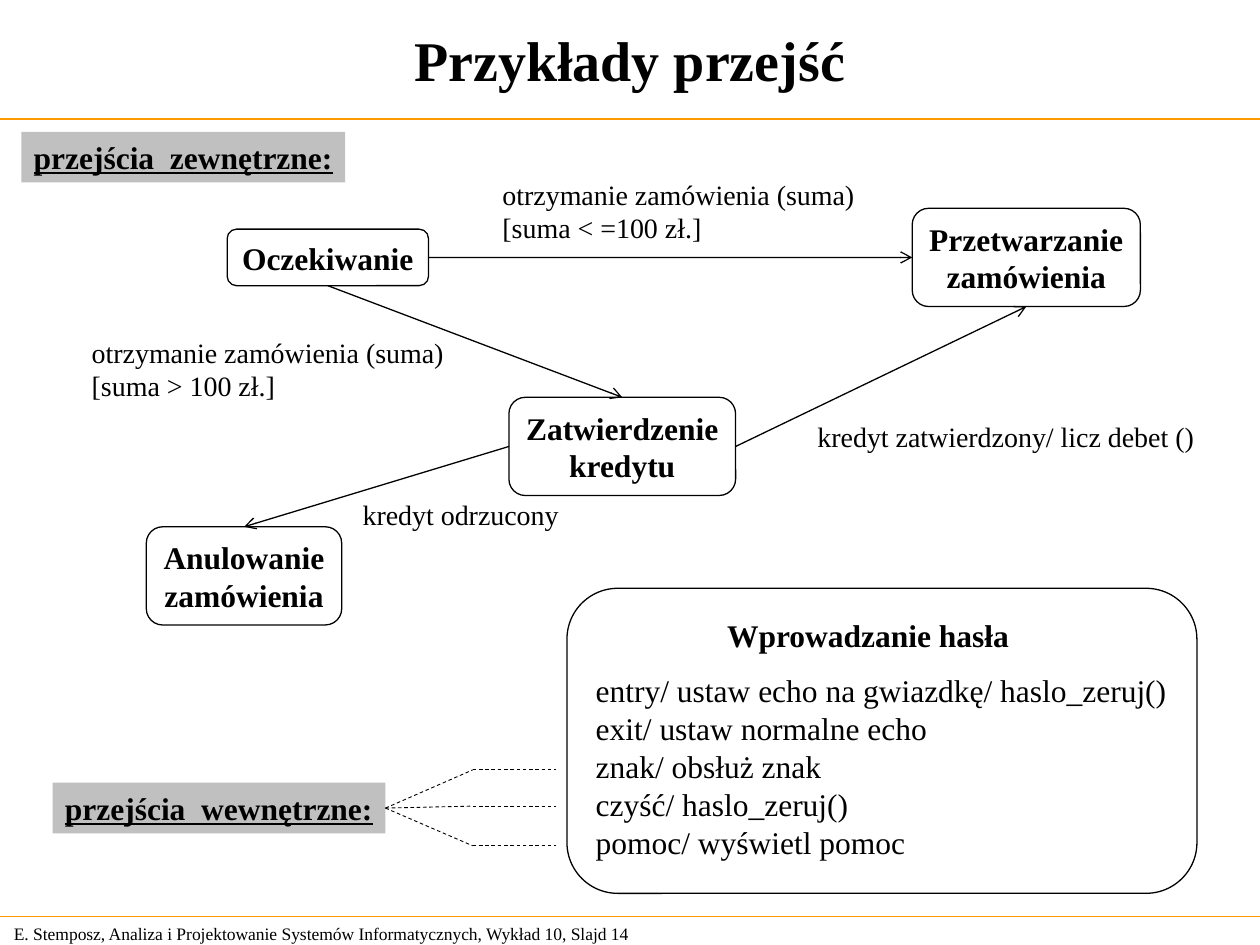
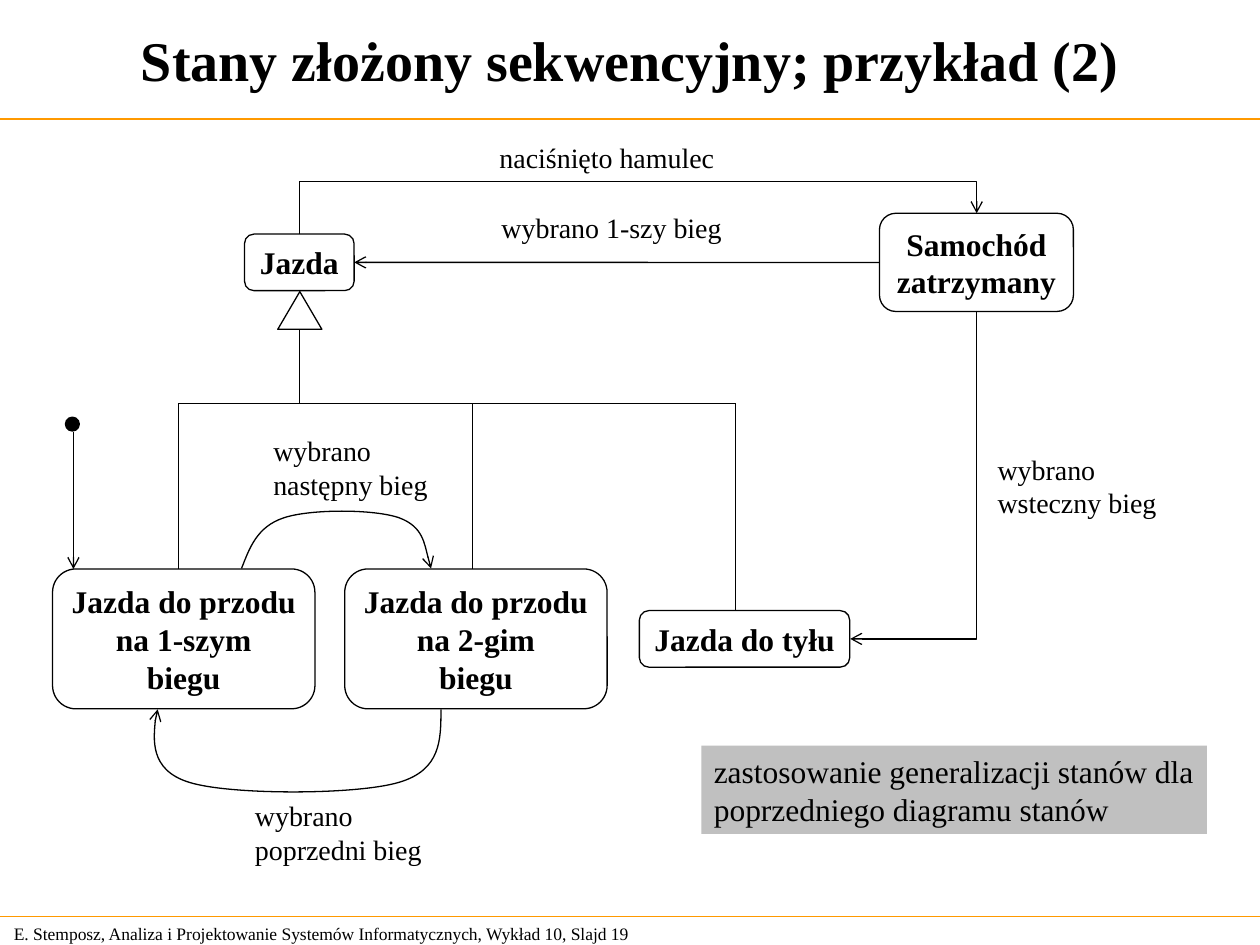
from dataclasses import dataclass

from lxml import etree
from pptx import Presentation
from pptx.dml.color import RGBColor
from pptx.enum.dml import MSO_LINE
from pptx.enum.shapes import MSO_CONNECTOR, MSO_SHAPE
from pptx.enum.text import MSO_ANCHOR, MSO_AUTO_SIZE, PP_ALIGN
from pptx.oxml.ns import qn
from pptx.util import Cm, Pt


@dataclass(frozen=True)
class Theme:
    font: str = "Times New Roman"
    ink: RGBColor = RGBColor(0x00, 0x00, 0x00)
    paper: RGBColor = RGBColor(0xFF, 0xFF, 0xFF)
    rule: RGBColor = RGBColor(0xFF, 0x99, 0x00)
    band: RGBColor = RGBColor(0xC0, 0xC0, 0xC0)
    title: Pt = Pt(32)
    body: Pt = Pt(18)
    label: Pt = Pt(16)
    footer: Pt = Pt(10)
    stroke: Pt = Pt(0.75)
    thin: Pt = Pt(0.5)


theme = Theme()
TOP, LEFT, BOTTOM, RIGHT = range(4)


def write(shape, text, size, bold=False, underline=False, align=PP_ALIGN.LEFT,
          anchor=MSO_ANCHOR.TOP):
    """Fill a shape with text that keeps its own line breaks."""
    frame = shape.text_frame
    frame.text = text
    frame.word_wrap = False
    frame.auto_size = MSO_AUTO_SIZE.NONE
    frame.vertical_anchor = anchor
    frame.margin_right = 0
    if align == PP_ALIGN.CENTER:
        frame.margin_left = 0
    for paragraph in frame.paragraphs:
        paragraph.alignment = align
        for run in paragraph.runs:
            run.font.name, run.font.size = theme.font, size
            run.font.bold, run.font.underline = bold, underline
            run.font.color.rgb = theme.ink
    return shape


def outline(shape, color=theme.ink, width=theme.stroke, arrow=False, dash=False):
    """Draw the line of a shape or connector, without a shadow."""
    shape.line.color.rgb = color
    shape.line.width = width
    if dash:
        shape.line.dash_style = MSO_LINE.DASH
    properties = shape._element.spPr
    if arrow:
        etree.SubElement(properties.find(qn("a:ln")), qn("a:tailEnd"), type="arrow")
    if properties.find(qn("a:effectLst")) is None:
        etree.SubElement(properties, qn("a:effectLst"))
    return shape


presentation = Presentation()
presentation.slide_width, presentation.slide_height = Cm(25.4), Cm(19.05)

# Content of both slides; boxes are left, top, width, height in cm
lectures = [
    {
        "title": "Przykłady przejść",
        "number": 14,
        "states": {
            "Oczekiwanie": (4.58, 4.62, 4.06, 1.14),
            "Przetwarzanie\nzamówienia": (18.39, 4.2, 4.6, 1.98),
            "Zatwierdzenie\nkredytu": (10.26, 8.01, 4.57, 1.98),
            "Anulowanie\nzamówienia": (2.95, 10.62, 3.94, 1.98),
        },
        "transitions": [
            ("Oczekiwanie", RIGHT, "Przetwarzanie\nzamówienia", LEFT),
            ("Oczekiwanie", BOTTOM, "Zatwierdzenie\nkredytu", TOP),
            ("Zatwierdzenie\nkredytu", RIGHT, "Przetwarzanie\nzamówienia", BOTTOM),
            ("Zatwierdzenie\nkredytu", LEFT, "Anulowanie\nzamówienia", TOP),
        ],
        "labels": [
            ("otrzymanie zamówienia (suma)\n[suma > 100 zł.]", (1.6, 6.63, 7.59, 1.63)),
            ("otrzymanie zamówienia (suma)\n[suma < =100 zł.]", (9.88, 3.45, 7.59, 1.63)),
            ("kredyt zatwierdzony/ licz debet ()", (16.23, 8.33, 8.1, 0.94)),
            ("kredyt odrzucony", (7.06, 9.91, 4.47, 0.94)),
        ],
        "bands": [
            ("przejścia  zewnętrzne:", (0.43, 2.66, 6.53, 1.02), True),
            ("przejścia  wewnętrzne:", (1.06, 15.78, 6.71, 1.02), True),
        ],
    },
    {
        "title": "Stany złożony sekwencyjny; przykład (2)",
        "number": 19,
        "states": {
            "Jazda do przodu\nna 1-szym\nbiegu": (1.06, 11.47, 5.29, 2.82),
            "Jazda do przodu\nna 2-gim\nbiegu": (6.95, 11.47, 5.29, 2.82),
            "Jazda do tyłu": (12.89, 12.31, 4.24, 1.14),
            "Jazda": (4.93, 4.72, 2.21, 1.14),
            "Samochód\nzatrzymany": (17.73, 4.3, 3.91, 1.98),
        },
        "transitions": [("Samochód\nzatrzymany", LEFT, "Jazda", RIGHT)],
        "labels": [
            ("wybrano\nnastępny bieg", (5.26, 8.62, 3.61, 1.63)),
            ("wybrano\npoprzedni bieg", (4.89, 15.98, 3.86, 1.63)),
            ("wybrano\nwsteczny bieg", (19.86, 8.99, 3.71, 1.63)),
            ("wybrano 1-szy bieg", (9.86, 4.11, 4.95, 0.94)),
            ("naciśnięto hamulec", (9.82, 2.71, 4.83, 0.94)),
        ],
        "bands": [
            ("zastosowanie generalizacji stanów dla\npoprzedniego diagramu stanów",
             (14.14, 15.03, 10.19, 1.78), False),
        ],
    },
]

slides = []
bands = {}
for lecture in lectures:
    slide = presentation.slides.add_slide(presentation.slide_layouts[6])
    slides.append(slide)
    shapes = slide.shapes

    # Footer, rules and title
    footer = shapes.add_textbox(Cm(0.03), Cm(18.47), Cm(13.31), Cm(0.69))
    write(footer, "E. Stemposz, Analiza i Projektowanie Systemów Informatycznych, "
          f"Wykład 10, Slajd {lecture['number']}", theme.footer, anchor=MSO_ANCHOR.MIDDLE)
    for y in (2.4, 18.48):
        outline(shapes.add_connector(MSO_CONNECTOR.STRAIGHT, 0, Cm(y), Cm(25.4), Cm(y)),
                theme.rule)
    title = shapes.add_textbox(Cm(0.1), Cm(0.12), Cm(25.2), Cm(2.16))
    write(title, lecture["title"], theme.title, bold=True, align=PP_ALIGN.CENTER,
          anchor=MSO_ANCHOR.MIDDLE)

    # States
    states = {}
    for name, box in lecture["states"].items():
        state = shapes.add_shape(MSO_SHAPE.ROUNDED_RECTANGLE, *map(Cm, box))
        state.fill.solid()
        state.fill.fore_color.rgb = theme.paper
        states[name] = write(outline(state), name, theme.body, bold=True,
                             align=PP_ALIGN.CENTER, anchor=MSO_ANCHOR.MIDDLE)

    # Transitions between sides of states
    for source, source_side, target, target_side in lecture["transitions"]:
        transition = shapes.add_connector(MSO_CONNECTOR.STRAIGHT, 0, 0, 0, 0)
        transition.begin_connect(states[source], source_side)
        transition.end_connect(states[target], target_side)
        outline(transition, arrow=True)

    # Transition labels
    for text, box in lecture["labels"]:
        write(shapes.add_textbox(*map(Cm, box)), text, theme.label)

    # Grey bands
    for text, box, heading in lecture["bands"]:
        band = shapes.add_shape(MSO_SHAPE.RECTANGLE, *map(Cm, box))
        band.shadow.inherit = False
        band.fill.solid()
        band.fill.fore_color.rgb = theme.band
        band.line.fill.background()
        bands[text] = write(band, text, theme.body, bold=heading, underline=heading)

examples, composite = (slide.shapes for slide in slides)

# Slide 14: state with internal transitions
password = examples.add_shape(MSO_SHAPE.ROUNDED_RECTANGLE,
                              Cm(11.43), Cm(11.86), Cm(12.7), Cm(6.15))
password.fill.background()
outline(password)
write(examples.add_textbox(Cm(14.4), Cm(12.29), Cm(6.2), Cm(1.02)),
      "Wprowadzanie hasła", theme.body, bold=True, align=PP_ALIGN.CENTER)
actions = [
    "entry/ ustaw echo na gwiazdkę/ haslo_zeruj()",
    "exit/ ustaw normalne echo",
    "znak/ obsłuż znak",
    "czyść/ haslo_zeruj()",
    "pomoc/ wyświetl pomoc",
]
write(examples.add_textbox(Cm(11.76), Cm(13.41), Cm(12.01), Cm(4.06)),
      "\n".join(actions), theme.body)

# Slide 14: dashed fan from the band to three actions
for y in (15.52, 16.25, 17.05):
    ray = examples.add_connector(MSO_CONNECTOR.STRAIGHT, 0, 0, Cm(9.53), Cm(y))
    ray.begin_connect(bands["przejścia  wewnętrzne:"], RIGHT)
    pointer = examples.add_connector(MSO_CONNECTOR.STRAIGHT,
                                     Cm(9.53), Cm(y), Cm(11.2), Cm(y))
    for dashed in (ray, pointer):
        outline(dashed, width=theme.thin, dash=True)

# Slide 19: generalization tree and the initial arrow
bus = 8.13
for x1, y1, x2, y2, arrow in [
    (3.6, bus, 14.82, bus, False),
    (6.04, 6.65, 6.04, bus, False),
    (3.6, bus, 3.6, 11.47, False),
    (9.53, bus, 9.53, 11.47, False),
    (14.82, bus, 14.82, 12.31, False),
    (1.48, 8.71, 1.48, 11.47, True),
]:
    branch = composite.add_connector(MSO_CONNECTOR.STRAIGHT, Cm(x1), Cm(y1), Cm(x2), Cm(y2))
    outline(branch, arrow=arrow)
for preset, box, color in [
    (MSO_SHAPE.ISOSCELES_TRIANGLE, (5.6, 5.88, 0.89, 0.76), theme.paper),
    (MSO_SHAPE.OVAL, (1.32, 8.41, 0.28, 0.28), theme.ink),
]:
    marker = composite.add_shape(preset, *map(Cm, box))
    marker.fill.solid()
    marker.fill.fore_color.rgb = color
    outline(marker)

# Slide 19: elbows leave vertically, so each is laid out flat and turned by 90°
for (x1, y1), (x2, y2), preset, bend in [
    ((19.69, 6.28), (17.14, 12.88), "bentConnector2", None),
    ((6.04, 4.72), (19.69, 4.3), "bentConnector3", 3.66),
]:
    middle_x, middle_y = (x1 + x2) / 2, (y1 + y2) / 2
    half_along, half_across = (y2 - y1) / 2, (x1 - x2) / 2
    elbow = composite.add_connector(
        MSO_CONNECTOR.ELBOW,
        Cm(middle_x - half_along), Cm(middle_y - half_across),
        Cm(middle_x + half_along), Cm(middle_y + half_across))
    properties = elbow._element.spPr
    properties.find(qn("a:xfrm")).set("rot", str(90 * 60000))
    geometry = properties.find(qn("a:prstGeom"))
    geometry.set("prst", preset)
    if bend is not None:
        share = round((bend - y1) / (y2 - y1) * 100000)
        etree.SubElement(geometry.find(qn("a:avLst")), qn("a:gd"),
                         name="adj1", fmla=f"val {share}")
    outline(elbow, arrow=True)

# Slide 19: gear changes as Bézier curves, three points to each segment
for start, *controls in [
    [(4.87, 11.46), (5.03, 11.05), (5.18, 10.62), (5.72, 10.44), (6.25, 10.26),
     (7.54, 10.26), (8.05, 10.44), (8.53, 10.62), (8.61, 11.2), (8.69, 11.46)],
    [(8.89, 14.3), (8.89, 14.91), (8.89, 15.52), (8.05, 15.77), (7.19, 16.03),
     (4.62, 16.03), (3.81, 15.77), (3, 15.52), (3.1, 14.4), (3.18, 14.3)],
]:
    builder = composite.build_freeform(*map(Cm, start))
    builder.add_line_segments([(Cm(x), Cm(y)) for x, y in controls], close=False)
    gear_change = builder.convert_to_shape()
    gear_change.fill.background()
    outline(gear_change, arrow=True)
    segments = list(gear_change._element.iter(qn("a:lnTo")))
    for first in range(0, len(segments), 3):
        curve = etree.Element(qn("a:cubicBezTo"))
        segments[first].addprevious(curve)
        for segment in segments[first:first + 3]:
            curve.append(segment[0])
            segment.getparent().remove(segment)

presentation.save("out.pptx")
